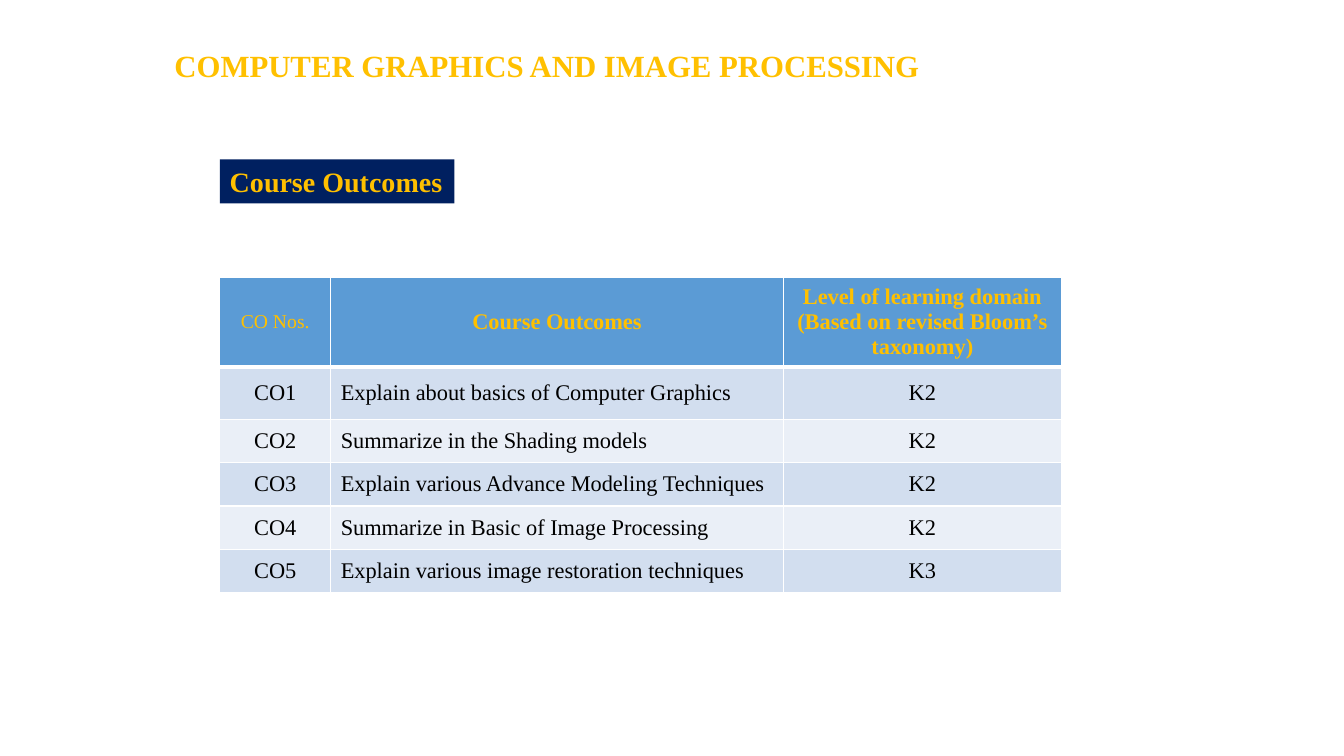
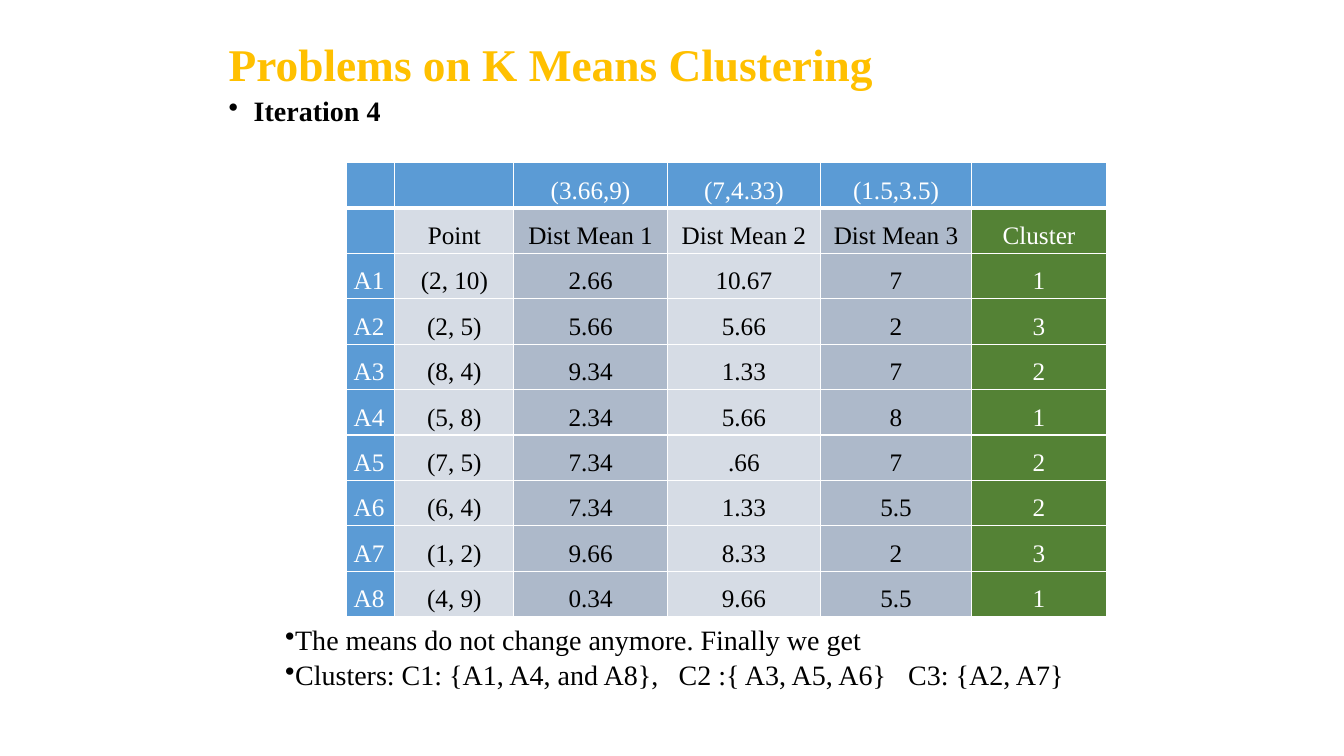
from lxml import etree
from pptx import Presentation
from pptx.dml.color import RGBColor
from pptx.enum.shapes import MSO_SHAPE
from pptx.enum.text import MSO_ANCHOR, PP_ALIGN
from pptx.oxml.ns import qn
from pptx.util import Pt

LEFT, CENTER = PP_ALIGN.LEFT, PP_ALIGN.CENTER
TOP, MIDDLE = MSO_ANCHOR.TOP, MSO_ANCHOR.MIDDLE
RECTANGLE = MSO_SHAPE.RECTANGLE

# Shared style
FONT = "Times New Roman"
GOLD = RGBColor(0xFF, 0xC0, 0x00)
NAVY = RGBColor(0x00, 0x20, 0x60)
BLUE = RGBColor(0x5B, 0x9B, 0xD5)
BAND_DARK = RGBColor(0xD2, 0xDE, 0xEF)
BAND_LIGHT = RGBColor(0xEA, 0xEF, 0xF7)
GRAY_LIGHT = RGBColor(0xD6, 0xDC, 0xE5)
GRAY_DARK = RGBColor(0xAD, 0xB9, 0xCA)
GREEN = RGBColor(0x54, 0x82, 0x35)
WHITE = RGBColor(0xFF, 0xFF, 0xFF)
BLACK = RGBColor(0x00, 0x00, 0x00)
TITLE_ONLY = 5

# Content
OUTCOMES = [
    ("CO Nos.", "Course Outcomes",
     "Level of learning domain\n(Based on revised Bloom’s\ntaxonomy)"),
    ("CO1", "Explain about basics of Computer Graphics", "K2"),
    ("CO2", "Summarize in the Shading models", "K2"),
    ("CO3", "Explain various Advance Modeling Techniques", "K2"),
    ("CO4", "Summarize in Basic of Image Processing", "K2"),
    ("CO5", "Explain various image restoration techniques", "K3"),
]
DISTANCES = [
    ("", "", "(3.66,9)", "(7,4.33)", "(1.5,3.5)", ""),
    ("", "Point", "Dist Mean 1", "Dist Mean 2", "Dist Mean 3", "Cluster"),
    ("A1", "(2, 10)", "2.66", "10.67", "7", "1"),
    ("A2", "(2, 5)", "5.66", "5.66", "2", "3"),
    ("A3", "(8, 4)", "9.34", "1.33", "7", "2"),
    ("A4", "(5, 8)", "2.34", "5.66", "8", "1"),
    ("A5", "(7, 5)", "7.34", ".66", "7", "2"),
    ("A6", "(6, 4)", "7.34", "1.33", "5.5", "2"),
    ("A7", "(1, 2)", "9.66", "8.33", "2", "3"),
    ("A8", "(4, 9)", "0.34", "9.66", "5.5", "1"),
]
CONCLUSIONS = [
    "The means do not change anymore. Finally we get",
    "Clusters: C1: {A1, A4, and A8},\tC2 :{ A3, A5, A6}\tC3: {A2, A7}",
]
CLUSTER_TABS = (281, 445)


def add_text(para, text, size, color, bold=False):
    span = para.add_run()
    span.text = text
    span.font.name = FONT
    span.font.size = Pt(size)
    span.font.bold = bold
    span.font.color.rgb = color


def add_bullet(para, indent=0, tabs=()):
    properties = para._p.get_or_add_pPr()
    properties.set("marL", str(Pt(indent)))
    properties.set("indent", str(Pt(-indent)))
    etree.SubElement(properties, qn("a:buChar"), char="•")
    if tabs:
        tab_list = etree.SubElement(properties, qn("a:tabLst"))
        for position in tabs:
            etree.SubElement(tab_list, qn("a:tab"), pos=str(Pt(position)), algn="l")


def add_titled_slide(deck, text, size, left, top, height):
    slide = deck.slides.add_slide(deck.slide_layouts[TITLE_ONLY])
    title = slide.shapes.title
    title.left, title.top, title.width, title.height = map(Pt, (left, top, 648, height))
    title.text_frame.vertical_anchor = MIDDLE
    para = title.text_frame.paragraphs[0]
    para.alignment = LEFT
    para.line_spacing = 0.9
    add_text(para, text, size, GOLD, bold=True)
    return slide


def add_text_box(slide, left, top, width, height):
    frame = slide.shapes.add_textbox(*map(Pt, (left, top, width, height))).text_frame
    frame.word_wrap = True
    return frame


def set_borders(cell, bottom):
    properties = cell._tc.get_or_add_tcPr()
    for side, width in (("L", 1), ("R", 1), ("T", 1), ("B", bottom)):
        line = etree.SubElement(properties, qn("a:ln" + side), w=str(Pt(width)))
        fill = etree.SubElement(line, qn("a:solidFill"))
        etree.SubElement(fill, qn("a:srgbClr"), val=str(WHITE))


def add_grid(slide, rows, left, top, widths, heights, style, anchor,
             margins=(7.2, 3.6), spacing=1.0):
    """style(row, column) gives fill, text colour, size, bold and alignment."""
    frame = slide.shapes.add_table(len(rows), len(widths), Pt(left), Pt(top),
                                   Pt(sum(widths)), Pt(sum(heights)))
    table = frame.table
    table.first_row = table.horz_banding = False
    for column, width in zip(table.columns, widths):
        column.width = Pt(width)
    for r, (values, height) in enumerate(zip(rows, heights)):
        table.rows[r].height = Pt(height)
        for c, value in enumerate(values):
            cell = table.cell(r, c)
            fill, color, size, bold, alignment = style(r, c)
            set_borders(cell, bottom=3 if r == 0 else 1)
            cell.fill.solid()
            cell.fill.fore_color.rgb = fill
            cell.vertical_anchor = anchor
            cell.margin_left = cell.margin_right = Pt(margins[0])
            cell.margin_top = cell.margin_bottom = Pt(margins[1])
            if not value:
                continue
            for i, line in enumerate(value.split("\n")):
                frame = cell.text_frame
                para = frame.add_paragraph() if i else frame.paragraphs[0]
                para.alignment = alignment
                para.line_spacing = spacing
                add_text(para, line, size, color, bold)


def outcome_style(row, column):
    if row == 0:
        return BLUE, GOLD, 16 if column else 14, column > 0, CENTER
    fill = BAND_DARK if row % 2 else BAND_LIGHT
    return fill, BLACK, 16, False, LEFT if column == 1 else CENTER


def distance_style(row, column):
    alignment = CENTER if column else LEFT
    if row == 0 or column == 0:
        fill, color = BLUE, WHITE
    elif column == 5:
        fill, color = GREEN, WHITE
    else:
        fill, color = GRAY_LIGHT if column % 2 else GRAY_DARK, BLACK
    return fill, color, 18, False, alignment


def build_outcomes_slide(deck):
    slide = add_titled_slide(deck, "COMPUTER GRAPHICS AND IMAGE PROCESSING",
                             22, 117.4, 3.6, 90)
    add_grid(slide, OUTCOMES, 157, 198, (79.2, 323.3, 198.7),
             (64.1, 37.4, 31, 31, 31, 31), outcome_style, MIDDLE)

    # Section label
    label = slide.shapes.add_shape(RECTANGLE, Pt(157), Pt(113.8), Pt(167.5), Pt(31.5))
    label.shadow.inherit = False
    label.fill.solid()
    label.fill.fore_color.rgb = NAVY
    label.line.fill.background()
    label.text_frame.word_wrap = False
    para = label.text_frame.paragraphs[0]
    para.alignment = LEFT
    add_text(para, "Course Outcomes", 20, GOLD, bold=True)


def build_clustering_slide(deck):
    slide = add_titled_slide(deck, "Problems on K Means Clustering", 32.4, 156.2, 24, 48)

    # Iteration heading
    para = add_text_box(slide, 156.2, 66.2, 648, 30).paragraphs[0]
    add_bullet(para, indent=18)
    para.line_spacing = 0.9
    add_text(para, "Iteration 4", 20, BLACK, bold=True)

    add_grid(slide, DISTANCES, 247.7, 116.2, (34.4, 85, 109.6, 109.4, 108, 96.2),
             [30.05] * len(DISTANCES), distance_style, TOP, (5, 0), 1.5)

    # Conclusions
    frame = add_text_box(slide, 196.6, 440, 601.2, 60)
    for i, text in enumerate(CONCLUSIONS):
        para = frame.add_paragraph() if i else frame.paragraphs[0]
        add_bullet(para, tabs=CLUSTER_TABS if "\t" in text else ())
        para.line_spacing = 1.05
        add_text(para, text, 20, BLACK)


def main():
    deck = Presentation()
    deck.slide_width, deck.slide_height = Pt(960), Pt(540)
    build_outcomes_slide(deck)
    build_clustering_slide(deck)
    deck.save("out.pptx")


if __name__ == "__main__":
    main()
